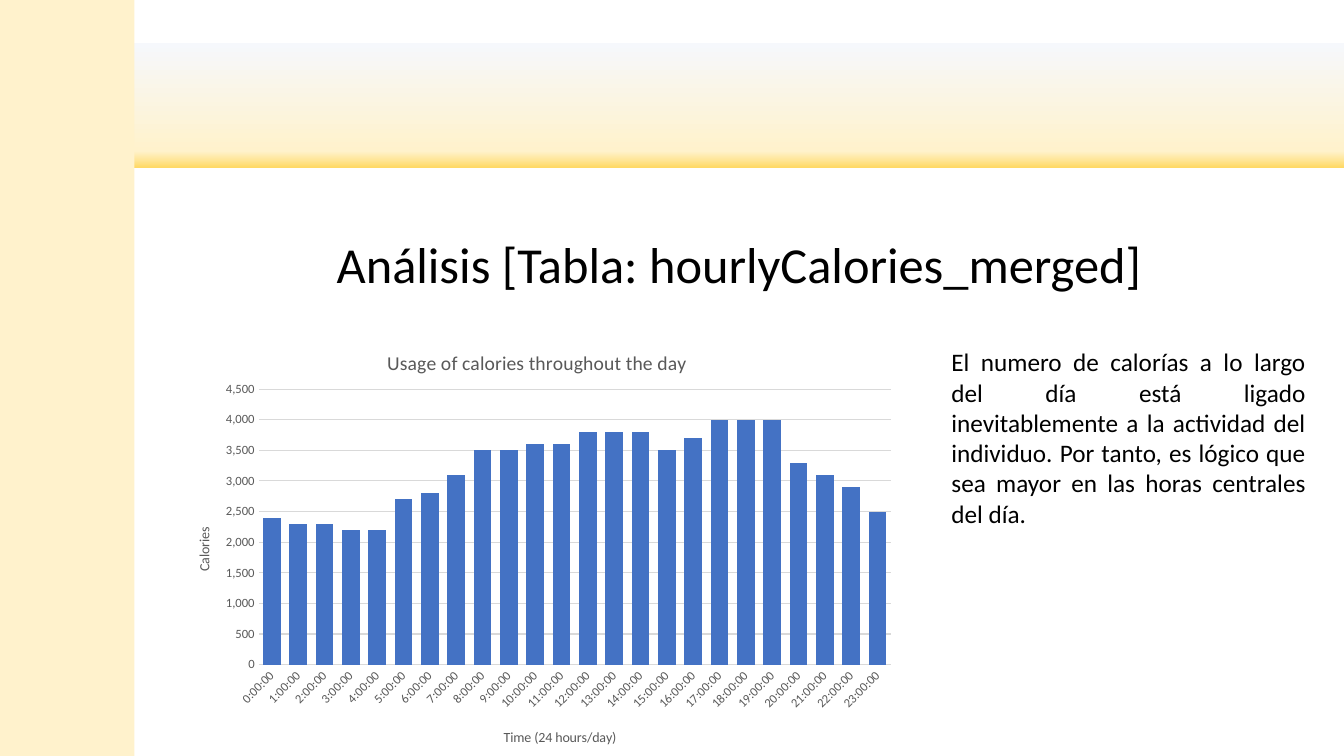
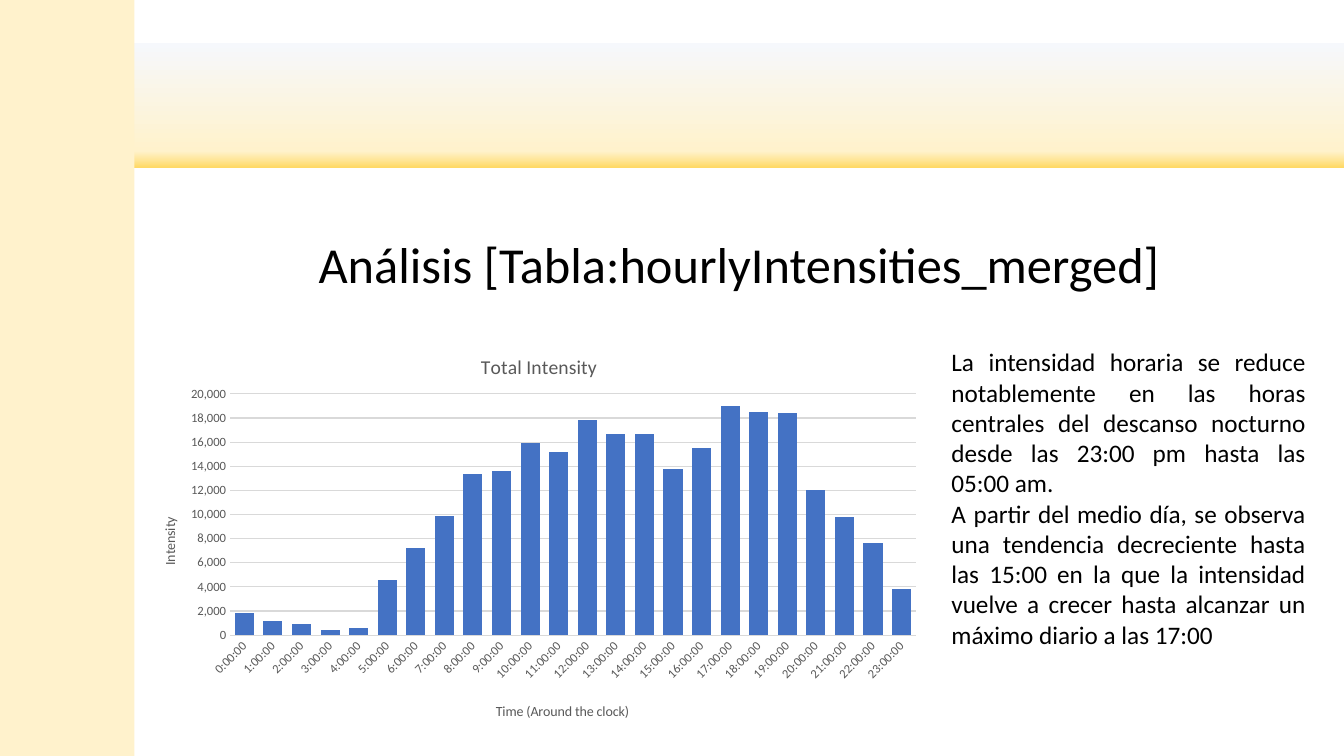
import pptx
import pptx.util
import pptx.chart.data
import pptx.dml.color
import pptx.enum.chart
import pptx.enum.shapes
import pptx.enum.text
import pptx.oxml
import pptx.oxml.ns

RGB = pptx.dml.color.RGBColor
CREAM = RGB(0xFF, 0xF2, 0xCC)
BLUE = RGB(0x44, 0x72, 0xC4)
BLACK = RGB(0, 0, 0)
GREY = RGB(0x59, 0x59, 0x59)
PALE = RGB(0xD9, 0xD9, 0xD9)
FADE = [(0, RGB(0xF6, 0xF8, 0xFC)), (87, CREAM),
        (94, RGB(0xFF, 0xE6, 0x99)), (100, RGB(0xFF, 0xD9, 0x66))]

Pt = pptx.util.Pt
ALIGN = pptx.enum.text.PP_ALIGN
NONE = pptx.enum.chart.XL_TICK_MARK.NONE
NS = pptx.oxml.ns.nsdecls
WIDTH, HEIGHT = pptx.util.Inches(13.33), pptx.util.Inches(7.5)

# Boxes: left, top, width, height on a grid of 100 columns by 100 rows
BAND = (0, 5.73, 100, 16.4)
SIDE = (0, 0, 10, 100)
HEAD = (10, 22.13, 90, 21.6)

HOURS = [f"{hour}:00:00" for hour in range(24)]
PAGES = [
    dict(head="Análisis [Tabla: hourlyCalories_merged]",
         note=["El numero de calorías a lo largo del día está ligado "
               "inevitablemente a la actividad del individuo. Por tanto, es "
               "lógico que sea mayor en las horas centrales del día."],
         note_box=(70.05, 45.2, 27.83, 25.6),
         box=(12.68, 42.8, 54.69, 57.87),
         title="Usage of calories throughout the day", title_at=(0.29, 0.05),
         cat="Time (24 hours/day)", val="Calories", top=4500, step=500,
         plot=(0.12, 0.15, 0.86, 0.63),
         data=[2400, 2300, 2300, 2200, 2200, 2700, 2800, 3100,
               3500, 3500, 3600, 3600, 3800, 3800, 3800, 3500,
               3700, 4000, 4000, 4000, 3300, 3100, 2900, 2500]),
    dict(head="Análisis [Tabla:hourlyIntensities_merged]",
         note=["La intensidad horaria se reduce notablemente en las horas "
               "centrales del descanso nocturno desde las 23:00 pm hasta las "
               "05:00 am.",
               "A partir del medio día, se observa una tendencia decreciente "
               "hasta las 15:00 en la que la intensidad vuelve a crecer hasta "
               "alcanzar un máximo diario a las 17:00"],
         note_box=(70.05, 45.2, 27.83, 41.73),
         box=(10, 43.6, 59.34, 53.2),
         title="Total Intensity", title_at=(0.43, 0.05),
         cat="Time (Around the clock)", val="Intensity", top=20000, step=2000,
         plot=(0.12, 0.16, 0.86, 0.6),
         data=[1800, 1200, 900, 400, 600, 4600, 7200, 9900,
               13400, 13600, 15900, 15200, 17800, 16700, 16700, 13800,
               15500, 19000, 18500, 18400, 12000, 9800, 7600, 3800]),
]


def grid(box):
    sides = (WIDTH, HEIGHT, WIDTH, HEIGHT)
    return [round(part * side / 100) for part, side in zip(box, sides)]


def style(item, **values):
    for name, value in values.items():
        setattr(item, name, value)


def ink(font, size, color):
    style(font, name="Calibri", size=Pt(size), bold=False)
    font.color.rgb = color


def block(slide, box):
    shape = slide.shapes.add_shape(
        pptx.enum.shapes.MSO_SHAPE.RECTANGLE, *grid(box))
    shape.shadow.inherit = False
    shape.line.fill.background()
    return shape


def frame(slide):
    # Fading band across the top
    band = block(slide, BAND)
    band.fill.gradient()
    band.fill.gradient_angle = 270
    stops = band._element.spPr.find(".//" + pptx.oxml.ns.qn("a:gsLst"))
    for old in list(stops):
        stops.remove(old)
    for share, color in FADE:
        stops.append(pptx.oxml.parse_xml(
            f'<a:gs {NS("a")} pos="{share * 1000}">'
            f'<a:srgbClr val="{color}"/></a:gs>'))
    # Side bar
    side = block(slide, SIDE)
    side.fill.solid()
    side.fill.fore_color.rgb = CREAM


def write(slide, box, lines, size, align):
    text = slide.shapes.add_textbox(*grid(box)).text_frame
    text.word_wrap = True
    text.text = "\n".join(lines)
    for para in text.paragraphs:
        para.alignment = align
        ink(para.font, size, BLACK)
    return text


def place(part, spot, inner=False):
    """Set the place of a chart part as shares of the chart."""
    qn = pptx.oxml.ns.qn
    for old in part.findall(qn("c:layout")):
        part.remove(old)
    rows = '<c:layoutTarget val="inner"/>' if inner else ""
    rows += '<c:xMode val="edge"/><c:yMode val="edge"/>'
    for name, share in zip("xywh", spot):
        rows += f'<c:{name} val="{share}"/>'
    node = pptx.oxml.parse_xml(
        f'<c:layout {NS("c")}><c:manualLayout>{rows}'
        '</c:manualLayout></c:layout>')
    part.insert(0 if part.find(qn("c:tx")) is None else 1, node)


def label(owner, text, size):
    owner.text_frame.text = text
    ink(owner.text_frame.paragraphs[0].font, size, GREY)


def graph(slide, page):
    data = pptx.chart.data.CategoryChartData(number_format="#,##0")
    data.categories = HOURS
    data.add_series("Series 1", page["data"])
    chart = slide.shapes.add_chart(
        pptx.enum.chart.XL_CHART_TYPE.COLUMN_CLUSTERED,
        *grid(page["box"]), data).chart
    ink(chart.font, 10, BLACK)
    style(chart, has_legend=False, has_title=True)
    label(chart.chart_title, page["title"], 14)

    # Columns
    plot = chart.plots[0]
    style(plot, gap_width=50, overlap=-27, vary_by_categories=False)
    fill = plot.series[0].format.fill
    fill.solid()
    fill.fore_color.rgb = BLUE

    # Axes
    cat, val = chart.category_axis, chart.value_axis
    for axis, name in ((cat, "cat"), (val, "val")):
        style(axis, major_tick_mark=NONE, minor_tick_mark=NONE)
        ink(axis.tick_labels.font, 9, GREY)
        label(axis.axis_title, page[name], 10)
    style(val, minimum_scale=0, maximum_scale=page["top"],
          major_unit=page["step"], has_major_gridlines=True)
    style(val.tick_labels, number_format="#,##0",
          number_format_is_linked=False)
    val.format.line.fill.background()
    for line in (cat.format.line, val.major_gridlines.format.line):
        line.color.rgb = PALE
        line.width = Pt(0.75)
    slant = cat._element.find(
        pptx.oxml.ns.qn("c:txPr")).find(pptx.oxml.ns.qn("a:bodyPr"))
    slant.set("rot", "-2700000")
    slant.set("vert", "horz")

    # Places of the titles and the plot
    root = chart._chartSpace
    spots = (page["title_at"], (0.45, 0.92), (0.03, 0.46))
    for part, spot in zip(root.xpath(".//c:title"), spots):
        place(part, spot)
    place(root.xpath(".//c:plotArea")[0], page["plot"], inner=True)


def build(deck, page):
    slide = deck.slides.add_slide(deck.slide_layouts[6])
    frame(slide)
    head = write(slide, HEAD, [page["head"]], 36, ALIGN.CENTER)
    head.margin_top = pptx.util.Inches(0.65)
    write(slide, page["note_box"], page["note"], 18, ALIGN.JUSTIFY)
    graph(slide, page)


def main():
    deck = pptx.Presentation()
    style(deck, slide_width=WIDTH, slide_height=HEIGHT)
    for page in PAGES:
        build(deck, page)
    deck.save("out.pptx")


if __name__ == "__main__":
    main()
